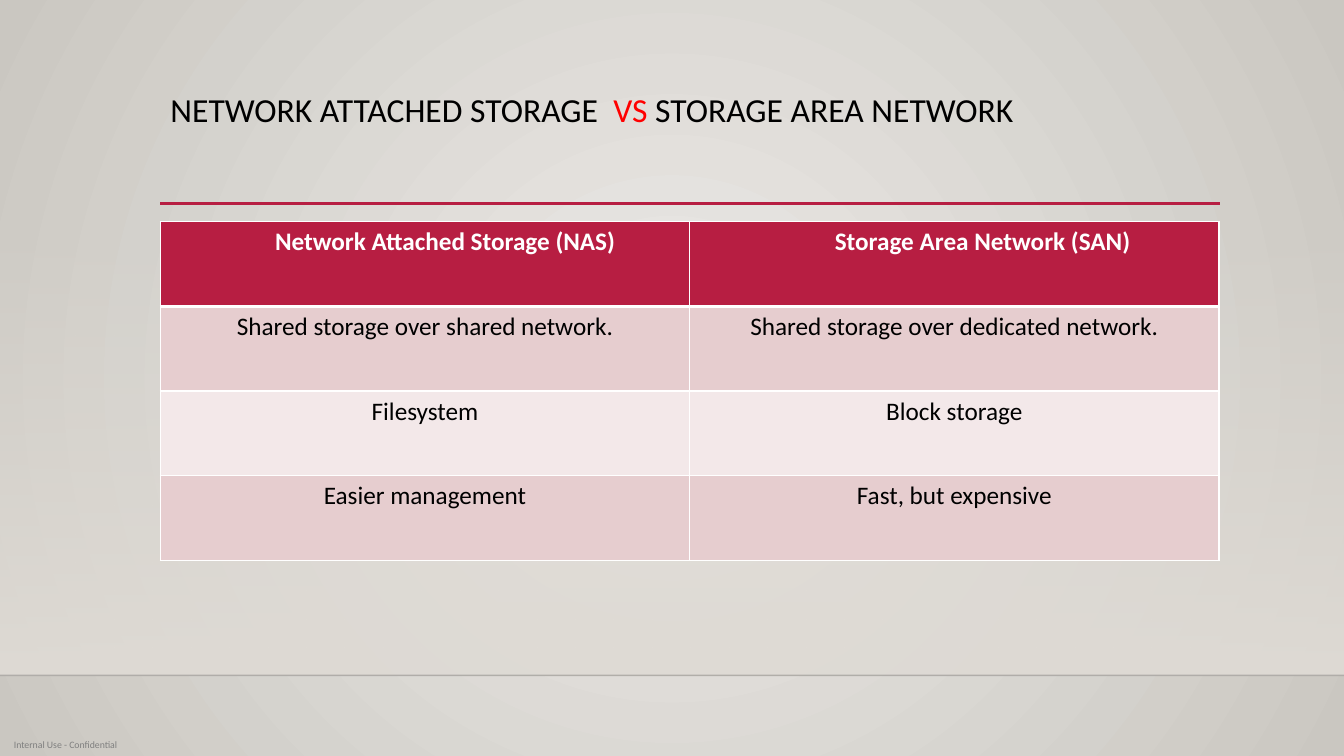
from dataclasses import dataclass

from lxml import etree
from pptx import Presentation
from pptx.dml.color import RGBColor
from pptx.enum import shapes, text
from pptx.oxml.ns import qn
from pptx.util import Inches, Pt

FONT = "Calibri"
CRIMSON = RGBColor(0xB7, 0x1E, 0x42)
ROSE = RGBColor(0xE6, 0xCD, 0xCF)
PALE_ROSE = RGBColor(0xF3, 0xE8, 0xE9)
RED = RGBColor(0xFF, 0x00, 0x00)
BLACK = RGBColor(0x00, 0x00, 0x00)
NEAR_BLACK = RGBColor(0x00, 0x00, 0x01)
WHITE = RGBColor(0xFF, 0xFF, 0xFF)
GRAY = RGBColor(0x7F, 0x7F, 0x7F)
STONE = RGBColor(0xDF, 0xDB, 0xD5)
STONE_LIGHT = RGBColor(0xEC, 0xEA, 0xE7)
STONE_DARK = RGBColor(0xCA, 0xC7, 0xC1)

SLIDE_WIDTH, SLIDE_HEIGHT = 13.33, 7.5
LEFT, CONTENT_WIDTH = 1.59, 10.5
ROW_HEIGHT = 0.84


@dataclass
class Rule:
    x1: float
    x2: float
    y: float
    color: RGBColor
    width: float
    alpha: int = 100


@dataclass
class Comparison:
    nas: str
    san: str
    fill: RGBColor


RULES = [
    Rule(0, SLIDE_WIDTH, 6.7, NEAR_BLACK, 1, alpha=20),
    Rule(LEFT, 12.1, 2.02, CRIMSON, 2.5),
]
COMPARISONS = [
    Comparison("Network Attached Storage (NAS)", "Storage Area Network (SAN)", CRIMSON),
    Comparison("Shared storage over shared network.",
               "Shared storage over dedicated network.", ROSE),
    Comparison("Filesystem", "Block storage", PALE_ROSE),
    Comparison("Easier management", "Fast, but expensive", ROSE),
]
HEADING_INDENTS = (0.4, 0.56)


def add_run(paragraph, words: str, *, size: float, color: RGBColor, bold: bool = False) -> None:
    run = paragraph.add_run()
    run.text = words
    run.font.name = FONT
    run.font.size = Pt(size)
    run.font.bold = bold
    run.font.color.rgb = color


def set_alpha(color_element, percent: int) -> None:
    etree.SubElement(color_element, qn("a:alpha")).set("val", str(percent * 1000))


def set_gradient(fill, start: RGBColor, end: RGBColor) -> None:
    fill.gradient()
    for stop, color, position in zip(fill.gradient_stops, (start, end), (0, 1)):
        stop.color.rgb = color
        stop.position = position


def add_rule(slide, rule: Rule) -> None:
    line = slide.shapes.add_connector(
        shapes.MSO_CONNECTOR.STRAIGHT,
        Inches(rule.x1), Inches(rule.y), Inches(rule.x2), Inches(rule.y))
    line.line.color.rgb = rule.color
    line.line.width = Pt(rule.width)
    properties = line._element.spPr
    if rule.alpha < 100:
        set_alpha(properties.find(".//" + qn("a:srgbClr")), rule.alpha)
    etree.SubElement(properties, qn("a:effectLst"))


def set_borders(cell, top: float, bottom: float) -> None:
    properties = cell._tc.get_or_add_tcPr()
    widths = {"lnL": 1, "lnR": 1, "lnT": top, "lnB": bottom}
    for index, (side, width) in enumerate(widths.items()):
        border = etree.Element(qn(f"a:{side}"), w=str(Pt(width)))
        solid = etree.SubElement(border, qn("a:solidFill"))
        etree.SubElement(solid, qn("a:srgbClr")).set("val", str(WHITE))
        properties.insert(index, border)


def add_background(slide) -> None:
    set_gradient(slide.background.fill, STONE_LIGHT, STONE_DARK)
    linear = slide.element.find(".//" + qn("a:lin"))
    circle = etree.Element(qn("a:path"), path="circle")
    etree.SubElement(circle, qn("a:fillToRect"), l="50000", t="50000", r="50000", b="50000")
    linear.getparent().replace(linear, circle)

    # Wall fading in towards the floor line
    wall = slide.shapes.add_shape(
        shapes.MSO_SHAPE.RECTANGLE, 0, Inches(2.21), Inches(SLIDE_WIDTH), Inches(4.49))
    wall.shadow.inherit = False
    wall.line.fill.background()
    set_gradient(wall.fill, STONE, STONE)
    wall.fill.gradient_angle = 270
    set_alpha(wall._element.spPr.find(".//" + qn("a:srgbClr")), 0)


def add_title(slide) -> None:
    title = slide.shapes.title
    title.left, title.top = Inches(LEFT), Inches(0.88)
    title.width, title.height = Inches(CONTENT_WIDTH), Inches(1.15)
    frame = title.text_frame
    frame.vertical_anchor = text.MSO_ANCHOR.TOP
    frame.auto_size = text.MSO_AUTO_SIZE.NONE
    paragraph = frame.paragraphs[0]
    paragraph.alignment = text.PP_ALIGN.LEFT
    paragraph.line_spacing = 0.9
    for words, color in (("NETWORK ATTACHED STORAGE  ", BLACK), ("VS", RED),
                         (" STORAGE AREA NETWORK", BLACK)):
        add_run(paragraph, words, size=24, color=color)


def add_confidentiality(slide) -> None:
    label = slide.shapes.add_textbox(0, Inches(7.27), Inches(1.3), Inches(0.23))
    frame = label.text_frame
    frame.word_wrap = True
    frame.margin_left = frame.margin_right = frame.margin_top = frame.margin_bottom = 0
    frame.vertical_anchor = text.MSO_ANCHOR.MIDDLE
    frame.paragraphs[0].alignment = text.PP_ALIGN.CENTER
    add_run(frame.paragraphs[0], "Internal Use - Confidential", size=7, color=GRAY)


def add_comparison_table(slide) -> None:
    table = slide.shapes.add_table(
        len(COMPARISONS), 2, Inches(LEFT), Inches(2.2),
        Inches(CONTENT_WIDTH), Inches(ROW_HEIGHT * len(COMPARISONS))).table
    for row, comparison in enumerate(COMPARISONS):
        heading = row == 0
        for column, words in enumerate((comparison.nas, comparison.san)):
            cell = table.cell(row, column)
            cell.fill.solid()
            cell.fill.fore_color.rgb = comparison.fill
            set_borders(cell, top=3 if row == 1 else 1, bottom=3 if heading else 1)
            if heading:
                cell.margin_left = Inches(0.1 + HEADING_INDENTS[column])
            paragraph = cell.text_frame.paragraphs[0]
            paragraph.alignment = text.PP_ALIGN.CENTER
            add_run(paragraph, words, size=18, color=WHITE if heading else BLACK, bold=heading)


def main() -> None:
    deck = Presentation()
    deck.slide_width, deck.slide_height = Inches(SLIDE_WIDTH), Inches(SLIDE_HEIGHT)
    slide = deck.slides.add_slide(deck.slide_layouts[5])
    add_background(slide)
    for rule in RULES:
        add_rule(slide, rule)
    add_confidentiality(slide)
    add_title(slide)
    add_comparison_table(slide)
    deck.save("out.pptx")


if __name__ == "__main__":
    main()
